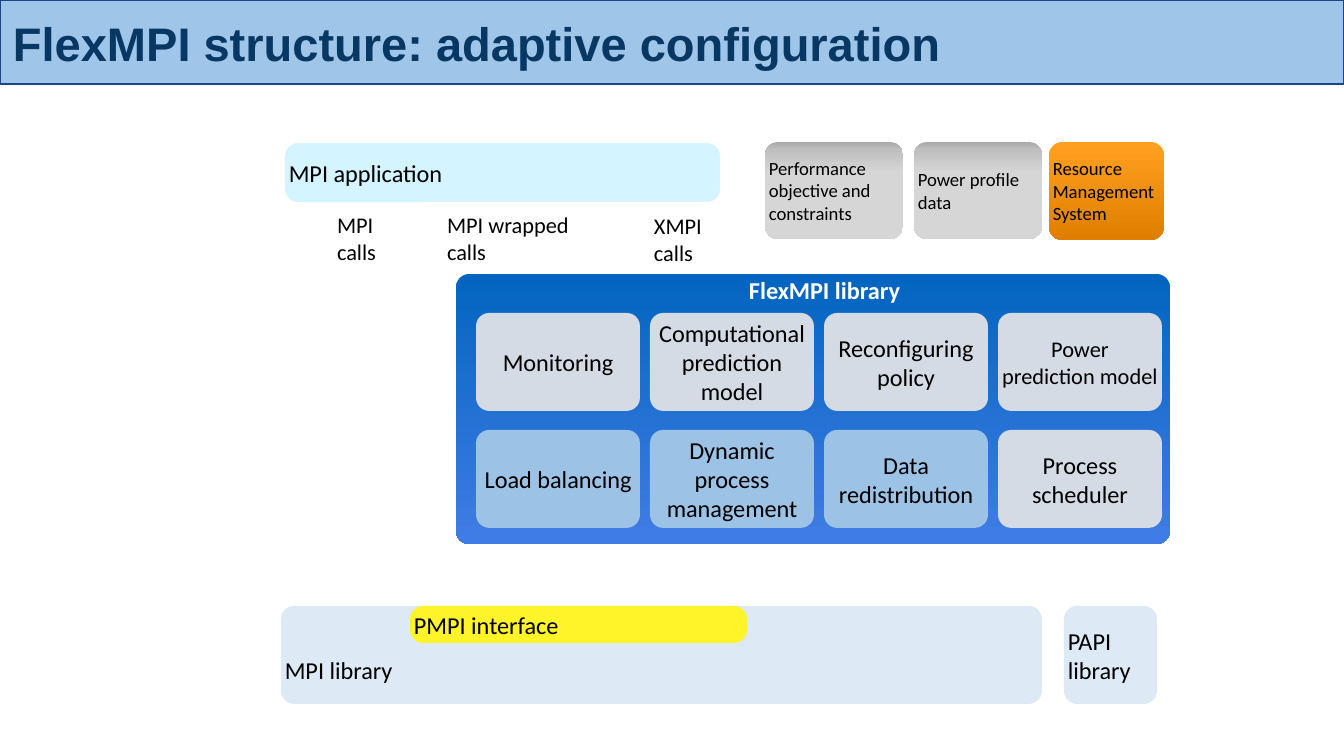
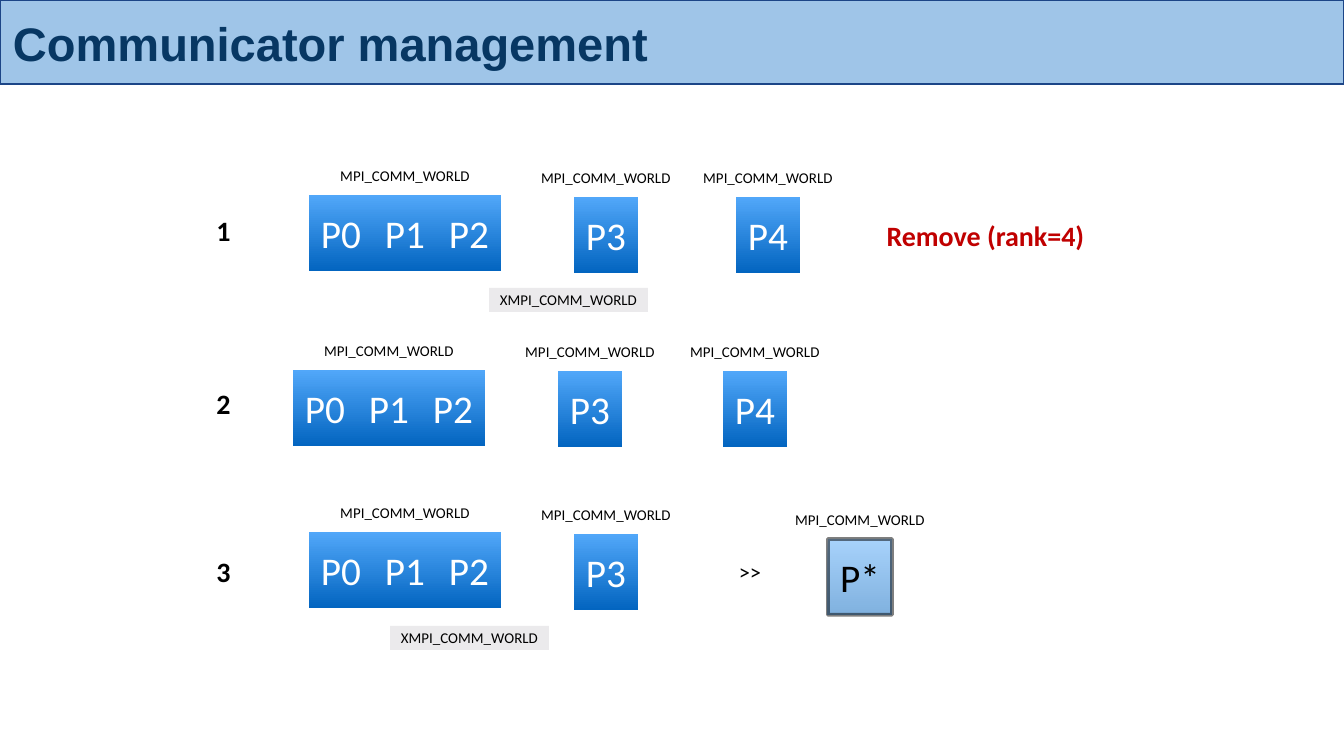
from lxml.etree import SubElement
from pptx import Presentation
from pptx.dml.color import RGBColor
from pptx.enum.shapes import MSO_SHAPE
from pptx.enum.text import MSO_ANCHOR, PP_ALIGN
from pptx.oxml.ns import qn
from pptx.util import Pt

PX = 914400 / 134.4
WIDE, HIGH = 1344, 756

COLORS = {
    "band": "9FC5E8", "edge": "1C4587", "title": "073763",
    "black": "000000", "white": "FFFFFF", "red": "C00000",
    "pale": "DDEAF6", "cyan": "D4F4FF", "yellow": "FEF429",
    "gray": "D5DBE5", "blue": "9CC2E5", "tag": "EBEAEC",
}
# Gradients run from top to bottom: (percent, color)
GRADS = {
    "library": [(0, "0365C0"), (100, "407CE5")],
    "input": [(0, "A9A9A9"), (8, "BFBFBF"), (32, "D6D6D6"), (100, "D6D6D6")],
    "manager": [(0, "FFA020"), (100, "DF7F00")],
    "process": [(0, "51A7F9"), (100, "0365C0")],
}

# Slide 1: (text, box, fill, size)
BLOCKS = [
    ("", (456, 274, 714, 270), "library", 13),
    ("PAPI library", (1064, 606, 93, 98), "pale", 13),
    ("PMPI interface", (410, 606, 337, 37), "yellow", 13),
    ("MPI application", (285, 143, 435, 59), "cyan", 13),
    ("Performance objective and constraints", (765, 142, 138, 97), "input", 10),
    ("Power profile\ndata", (914, 142, 128, 97), "input", 10),
    ("Resource Management\nSystem", (1049, 142, 115, 98), "manager", 10),
]
CALLS = [
    ("MPI calls", (333, 223, 77, 31)),
    ("MPI wrapped calls", (443, 223, 152, 31)),
    ("XMPI calls", (650, 224, 87, 31)),
]
MODULES = [
    [("Monitoring", "gray", 13),
     ("Computational prediction model", "gray", 13),
     ("Reconfiguring policy", "gray", 13),
     ("Power\nprediction model", "gray", 12)],
    [("Load balancing", "blue", 13),
     ("Dynamic process management", "blue", 13),
     ("Data redistribution", "blue", 13),
     ("Process\nscheduler", "gray", 13)],
]

# Slide 2: (number, number top, [(processes, left, top)])
STEPS = [
    ("1", 198, [(["P0", "P1", "P2"], 309, 195), (["P3"], 574, 197), (["P4"], 736, 197)]),
    ("2", 371, [(["P0", "P1", "P2"], 293, 370), (["P3"], 558, 371), (["P4"], 723, 371)]),
    ("3", 539, [(["P0", "P1", "P2"], 309, 532), (["P3"], 574, 534), (["P*"], 828, 539)]),
]
TAGS = [(489, 288), (390, 626)]


def emu(*nums):
    return [round(n * PX) for n in nums]


def rgb(name):
    return RGBColor.from_string(COLORS[name])


def fade(node, alpha):
    for tone in node.iter(qn("a:srgbClr")):
        SubElement(tone, qn("a:alpha"), val=str(alpha * 1000))


def paint(shape, name):
    if name not in GRADS:
        shape.fill.solid()
        shape.fill.fore_color.rgb = rgb(name)
        return
    shape.fill.gradient()
    shape.fill.gradient_angle = 270
    stops = next(shape._element.iter(qn("a:gsLst")))
    for stop in list(stops):
        stops.remove(stop)
    for pos, tone in GRADS[name]:
        stop = SubElement(stops, qn("a:gs"), pos=str(pos * 1000))
        SubElement(stop, qn("a:srgbClr"), val=tone)


def write(shape, text, size, color="black", align=PP_ALIGN.CENTER, bold=False,
          font="Calibri", pad=0, wrap=True, anchor=MSO_ANCHOR.MIDDLE):
    frame = shape.text_frame
    frame.text = text
    frame.word_wrap = wrap
    frame.vertical_anchor = anchor
    (frame.margin_left, frame.margin_top,
     frame.margin_right, frame.margin_bottom) = emu(pad, pad, pad, pad)
    for para in frame.paragraphs:
        para.alignment = align
        for run in para.runs:
            run.font.name = font
            run.font.size = Pt(size)
            run.font.bold = bold
            run.font.color.rgb = rgb(color)


def block(slide, text, box, fill, size, kind=MSO_SHAPE.RECTANGLE, **look):
    shape = slide.shapes.add_shape(kind, *emu(*box))
    shape.shadow.inherit = False
    shape.line.fill.background()
    paint(shape, fill)
    if kind == MSO_SHAPE.ROUNDED_RECTANGLE:
        shape.adjustments[0] = min(13.2 / min(box[2:]), 0.5)
    if text:
        write(shape, text, size, **look)
    return shape


def label(slide, text, box, size, **look):
    write(slide.shapes.add_textbox(*emu(*box)), text, size, **look)


def start(deck, title):
    slide = deck.slides.add_slide(deck.slide_layouts[6])
    band = block(slide, title, (0, 0, WIDE, 84), "band", 25.2, color="title",
                 align=PP_ALIGN.LEFT, bold=True, font="Arial", pad=13,
                 anchor=MSO_ANCHOR.BOTTOM)
    band.line.color.rgb = rgb("edge")
    band.line.width = Pt(0.75)
    return slide


def layers(deck):
    slide = start(deck, "FlexMPI structure: adaptive configuration")
    left = {"align": PP_ALIGN.LEFT}
    round_box = MSO_SHAPE.ROUNDED_RECTANGLE

    # Libraries, application and inputs
    base = block(slide, "MPI library", (281, 606, 761, 98), "pale", 13, round_box, **left)
    base.text_frame.margin_top = emu(30)[0]
    for text, box, fill, size in BLOCKS:
        block(slide, text, box, fill, size, round_box, **left)

    # Calls between layers
    for text, box in CALLS:
        label(slide, text, box, 12, pad=4, **left)
    label(slide, "FlexMPI library", (745, 274, 207, 32), 13, color="white",
          bold=True, pad=4, **left)

    # Module grid
    for row, line in enumerate(MODULES):
        for col, (text, fill, size) in enumerate(line):
            box = (476 + 174 * col, 313 + 117 * row, 164, 98)
            block(slide, text, box, fill, size, round_box)


def groups(deck):
    slide = start(deck, "Communicator management")
    cell, tall, wide = 64, 76, 148

    for num, high, sets in STEPS:
        block(slide, num, (190, high, 67, 64), "white", 15, MSO_SHAPE.OVAL, bold=True)
        for names, x, y in sets:
            # Communicator name centred above its processes
            mid = x + cell * len(names) / 2
            block(slide, "MPI_COMM_WORLD", (mid - wide / 2, y - 31, wide, 24), "white", 8)
            for i, name in enumerate(names):
                new = name == "P*"
                box = block(slide, name, (x + cell * i, y, cell, tall), "process", 21,
                            color="black" if new else "white")
                if new:
                    box.line.color.rgb = rgb("black")
                    box.line.width = Pt(2)
                    fade(box._element.spPr, 50)

    # Shared communicator tags and remarks
    for x, y in TAGS:
        block(slide, "XMPI_COMM_WORLD", (x, y, 159, 24), "tag", 8)
    label(slide, ">>", (733, 552, 34, 39), 12, pad=5, wrap=False)
    label(slide, "Remove (rank=4)", (880, 212, 211, 46), 15, color="red",
          bold=True, pad=5, wrap=False)


def main():
    deck = Presentation()
    deck.slide_width, deck.slide_height = emu(WIDE, HIGH)
    layers(deck)
    groups(deck)
    deck.save("out.pptx")


if __name__ == "__main__":
    main()
